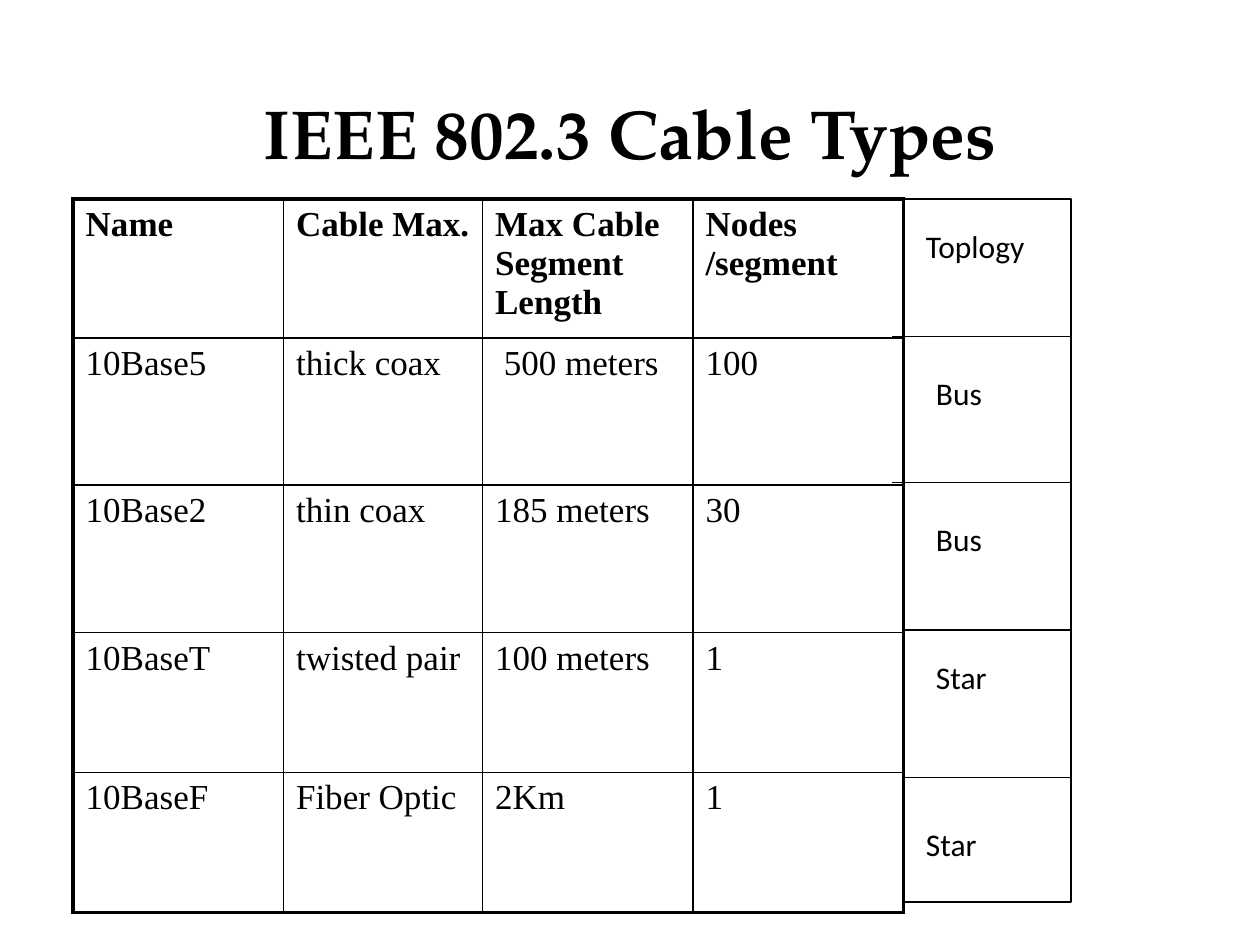
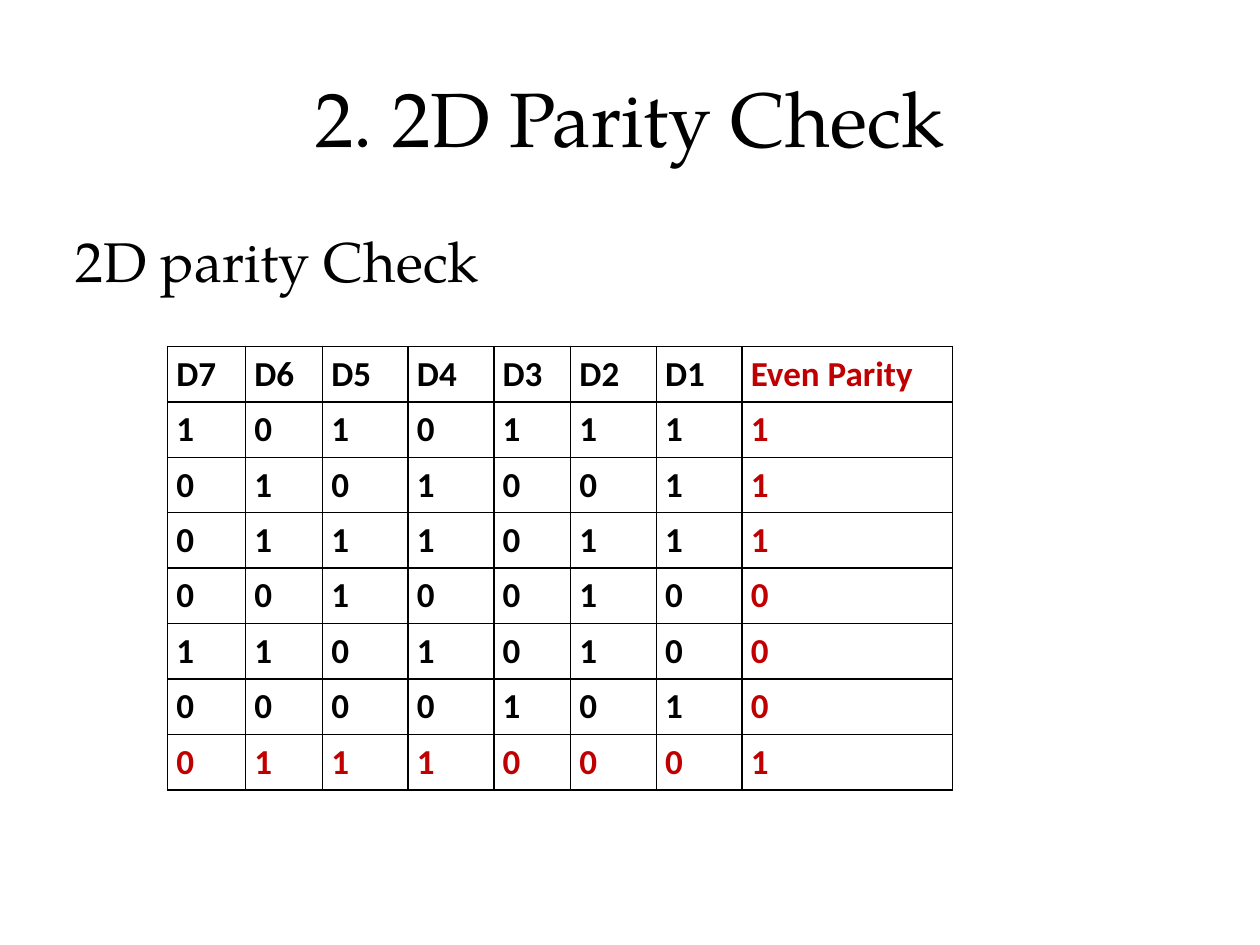
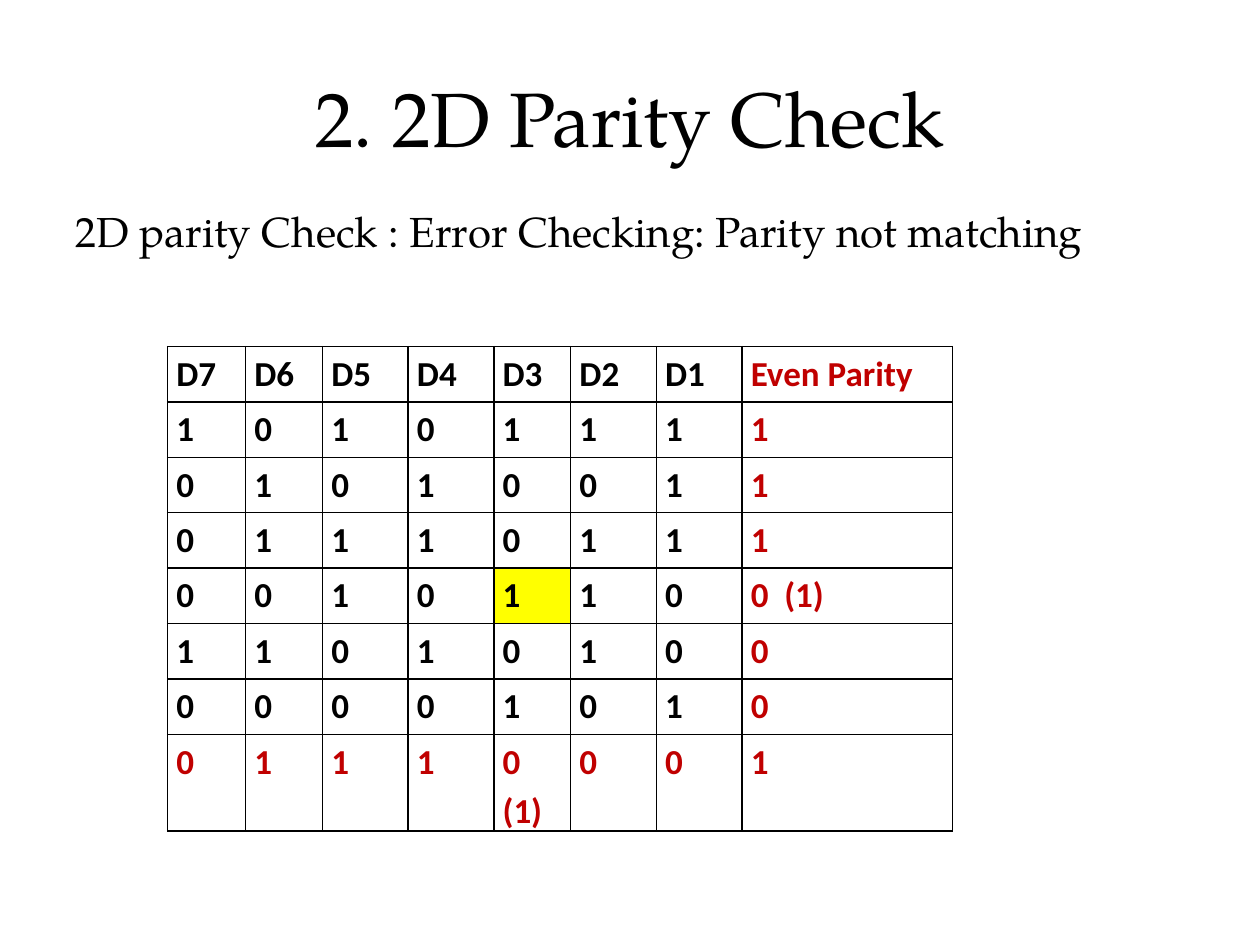
from lxml.etree import SubElement
from pptx import Presentation
from pptx.dml.color import RGBColor
from pptx.enum.shapes import MSO_CONNECTOR, MSO_SHAPE
from pptx.enum.text import MSO_ANCHOR, PP_ALIGN
from pptx.oxml import parse_xml
from pptx.oxml.ns import nsdecls, qn
from pptx.util import Inches, Pt

COLORS = {"ink": "000000", "parity": "C00000", "error": "FFFF00"}
DISPLAY, BODY, SERIF = "TeX Gyre Pagella", "Calibri", "Times New Roman"


def add_text(slide, text, box, size, font=DISPLAY, bold=False,
             align=PP_ALIGN.LEFT, anchor=MSO_ANCHOR.TOP):
    frame = slide.shapes.add_textbox(*map(Inches, box)).text_frame
    frame.word_wrap = True
    frame.vertical_anchor = anchor
    paragraph = frame.paragraphs[0]
    paragraph.alignment = align
    run = paragraph.add_run()
    run.text = text
    run.font.name, run.font.size, run.font.bold = font, Pt(size), bold
    run.font.color.rgb = RGBColor.from_string(COLORS["ink"])
    return paragraph


def add_grid(slide, rows, corner, widths, heights, font, margins, outer=1, spacing=None):
    """Add an unfilled table with 1 pt inner rules and an outer frame of the given width."""
    table = slide.shapes.add_table(
        len(rows), len(widths), *map(Inches, (*corner, sum(widths), sum(heights)))).table
    table.first_row = table.horz_banding = False
    for column, width in zip(table.columns, widths):
        column.width = Inches(width)
    last_row, last_column = len(rows) - 1, len(widths) - 1
    for r, row in enumerate(rows):
        table.rows[r].height = Inches(heights[r])
        for c, text in enumerate(row):
            cell = table.cell(r, c)
            cell.fill.background()
            cell.margin_left = cell.margin_right = Inches(margins[0])
            cell.margin_top = cell.margin_bottom = Inches(margins[1])
            paragraph = cell.text_frame.paragraphs[0]
            paragraph.line_spacing = spacing
            run = paragraph.add_run()
            run.text = text
            run.font.name, run.font.size, run.font.bold = font, Pt(20), r == 0
            run.font.color.rgb = RGBColor.from_string(COLORS["ink"])
            on_frame = {"lnL": c == 0, "lnR": c == last_column,
                        "lnT": r == 0, "lnB": r == last_row}
            for position, (side, framed) in enumerate(on_frame.items()):
                width = Pt(outer if framed else 1)
                cell._tc.get_or_add_tcPr().insert(position, parse_xml(
                    f'<a:{side} {nsdecls("a")} w="{width}"><a:solidFill>'
                    f'<a:srgbClr val="{COLORS["ink"]}"/></a:solidFill></a:{side}>'))
    return table


prs = Presentation()
prs.slide_width, prs.slide_height = Inches(10), Inches(7.5)
blank = prs.slide_layouts[6]

# Cable types, with the topology column drawn beside the table
slide = prs.slides.add_slide(blank)
add_text(slide, "IEEE 802.3 Cable Types", (0.75, 0.67, 8.5, 1.25), 39.6,
         bold=True, align=PP_ALIGN.CENTER)
cable_rows = [
    ["Name", "Cable Max.", "Max Cable Segment Length", "Nodes /segment"],
    ["10Base5", "thick coax", " 500 meters", "100"],
    ["10Base2", "thin coax", "185 meters", "30"],
    ["10BaseT", "twisted pair", "100 meters", "1"],
    ["10BaseF", "Fiber Optic", "2Km", "1"],
]
add_grid(slide, cable_rows, (0.58, 1.58), [1.67, 1.58, 1.67, 1.67],
         [1.1, 1.17, 1.17, 1.11, 1.11], SERIF, (0.1, 0.05), outer=2.25)

topology_frame = slide.shapes.add_shape(
    MSO_SHAPE.RECTANGLE, *map(Inches, (7.17, 1.58, 1.33, 5.58)))
topology_frame.shadow.inherit = False
topology_frame.fill.background()
topology_frame.line.color.rgb = RGBColor.from_string(COLORS["ink"])
topology_frame.line.width = Pt(0.75)

for left, y in [(7.08, 2.67), (7.08, 3.83), (7.17, 5), (7.17, 6.17)]:
    divider = slide.shapes.add_connector(
        MSO_CONNECTOR.STRAIGHT, *map(Inches, (left, y, 8.5, y)))
    divider.line.color.rgb = RGBColor.from_string(COLORS["ink"])
    divider.line.width = Pt(0.75)
    SubElement(divider._element.spPr, qn("a:effectLst"))

for topology, left, top, width in [
    ("Toplogy", 7.25, 1.75, 1.83),
    ("Bus", 7.33, 2.92, 1.08),
    ("Bus", 7.33, 4.08, 1.08),
    ("Star", 7.33, 5.17, 1.08),
    ("Star", 7.25, 6.5, 1.08),
]:
    add_text(slide, topology, (left, top, width, 0.4), 18, BODY)

# Parity check: the sent block, then the same block with one flipped bit
sent_rows = [["D7", "D6", "D5", "D4", "D3", "D2", "D1", "Even Parity"]]
sent_rows += [list(bits) for bits in (
    "10101111", "01010011", "01110111", "00100100", "11010100", "00001010", "01110001")]
flipped_bit = (4, 4)
received_rows = [list(row) for row in sent_rows]
received_rows[4][4] = "1"
received_rows[4][7] = "0  (1)"
received_rows[7][4] = "0 (1)"

for subtitle, top, size, parity_rows, error in [
    ("2D parity Check", 1.75, 32, sent_rows, None),
    ("2D parity Check : Error Checking: Parity not matching", 1.58, 24,
     received_rows, flipped_bit),
]:
    slide = prs.slides.add_slide(blank)
    add_text(slide, "2. 2D Parity Check", (0.5, 0.3, 9, 1.25), 44,
             align=PP_ALIGN.CENTER, anchor=MSO_ANCHOR.MIDDLE)
    paragraph = add_text(slide, subtitle, (0.5, top, 9, 6.7 - top), size)
    indent = paragraph._p.get_or_add_pPr()
    indent.set("marL", str(Inches(0.56)))
    indent.set("indent", str(Inches(-0.56)))
    table = add_grid(slide, parity_rows, (1.33, 2.75),
                     [0.62, 0.61, 0.68, 0.68, 0.61, 0.68, 0.68, 1.67],
                     [0.44] * len(parity_rows), BODY, (0.07, 0), spacing=1.15)
    for r in range(8):
        for c in range(8):
            font = table.cell(r, c).text_frame.paragraphs[0].runs[0].font
            font.bold = True
            if r == 7 or c == 7:
                font.color.rgb = RGBColor.from_string(COLORS["parity"])
    if error:
        error_cell = table.cell(*error)
        error_cell.fill.solid()
        error_cell.fill.fore_color.rgb = RGBColor.from_string(COLORS["error"])

prs.save("out.pptx")
